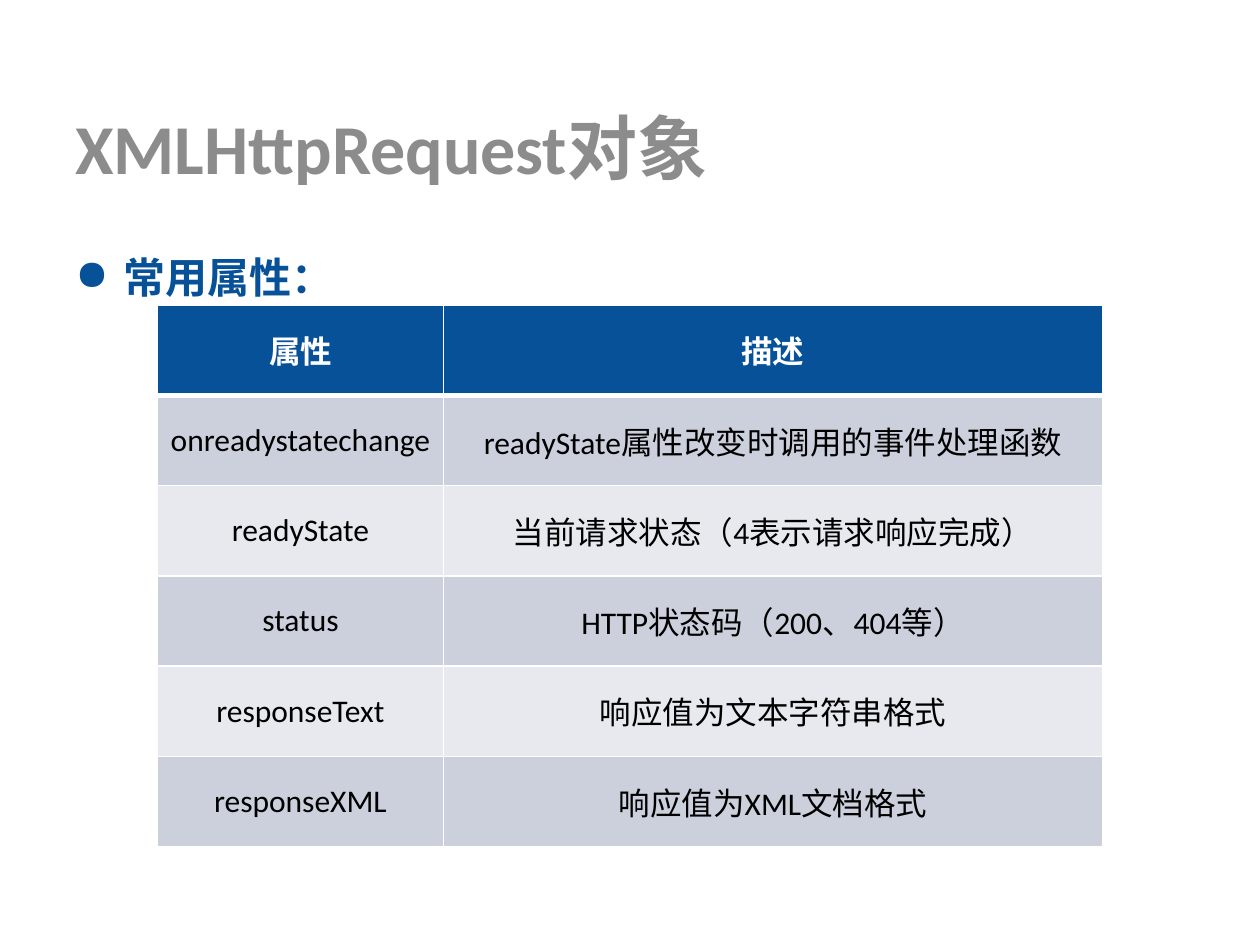
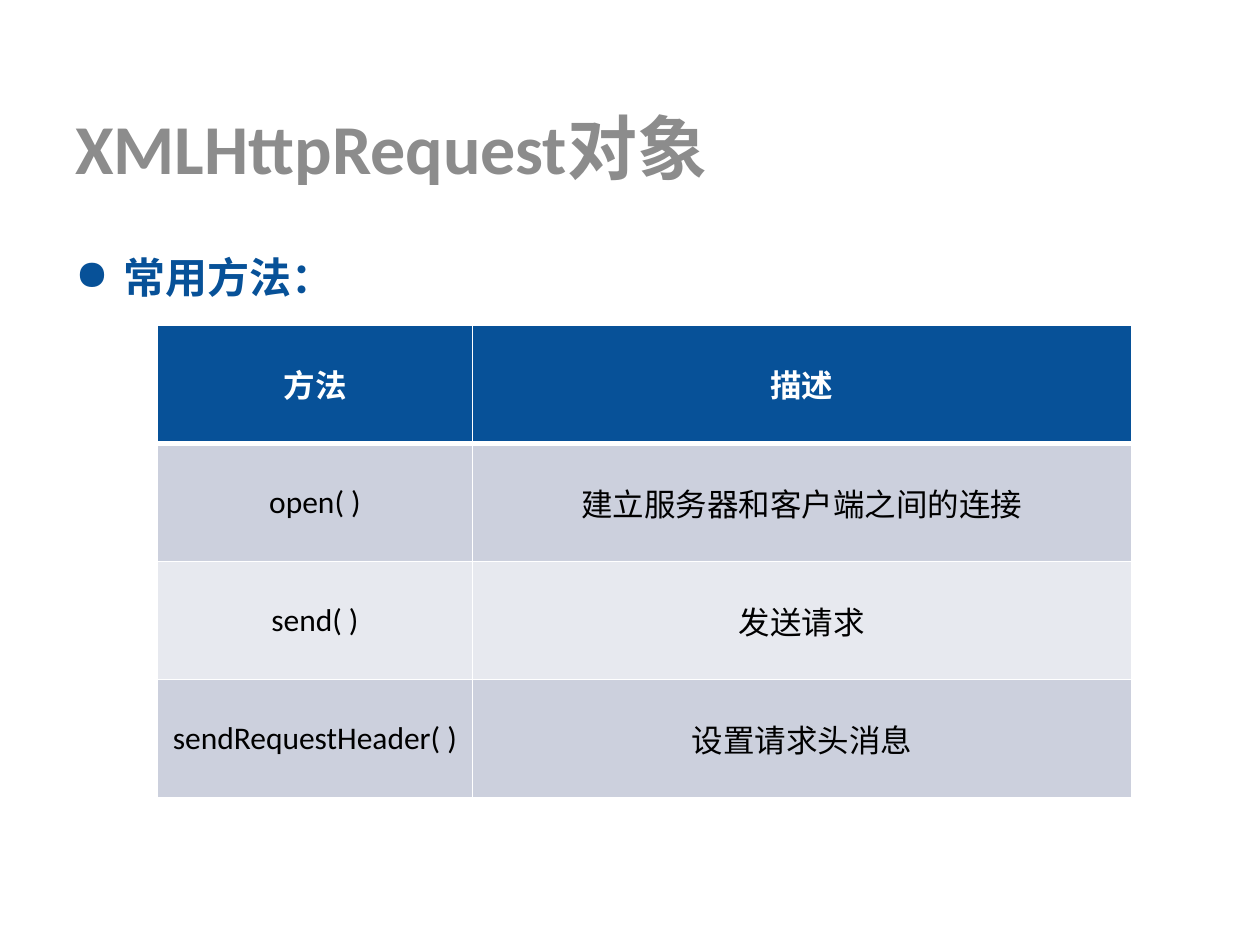
"""Build two slides that tabulate the XMLHttpRequest properties and methods."""
from lxml import etree
from pptx import Presentation, util as u
from pptx.dml.color import RGBColor
from pptx.enum import text as t
from pptx.oxml import ns

COLORS = {"title": "8C8C8C", "accent": "075198", "white": "FFFFFF",
          "black": "000000", "band_dark": "CCD0DD", "band_light": "E7E9EF"}
FONT = "Calibri"
WIDTH, HEIGHT = u.Inches(10), u.Inches(7.5)
TITLE = "XMLHttpRequest对象"
TITLE_AREA = (5, 10.4, 90, 10.27)
BODY_AREA = (5, 23.33, 90, 69.33)
TABLE_LEFT, DESCRIPTION_WIDTH = 12.5, 52.3
PROPERTIES = [
    ("属性", "描述"),
    ("onreadystatechange", "readyState属性改变时调用的事件处理函数"),
    ("readyState", "当前请求状态（4表示请求响应完成）"),
    ("status", "HTTP状态码（200、404等）"),
    ("responseText", "响应值为文本字符串格式"),
    ("responseXML", "响应值为XML文档格式"),
]
METHODS = [
    ("方法", "描述"),
    ("open( )", "建立服务器和客户端之间的连接"),
    ("send( )", "发送请求"),
    ("sendRequestHeader( )", "设置请求头消息"),
]


def across(percent):
    """Return a percentage of the slide width."""
    return int(WIDTH * percent / 100)


def down(percent):
    """Return a percentage of the slide height."""
    return int(HEIGHT * percent / 100)


def color(name):
    """Return a palette colour."""
    return RGBColor.from_string(COLORS[name])


def add_element(parent, tag, **attributes):
    """Append a DrawingML element."""
    return etree.SubElement(parent, ns.qn(tag), attributes)


def write_text(frame, text, size=18, ink="black", bold=False,
               align=t.PP_ALIGN.LEFT):
    """Write one formatted paragraph and return it."""
    paragraph = frame.paragraphs[0]
    paragraph.alignment = align
    run = paragraph.add_run()
    run.text = text
    run.font.name, run.font.size, run.font.bold = FONT, u.Pt(size), bold
    run.font.color.rgb = color(ink)
    return paragraph


def add_text(slide, area, text, anchor, **style):
    """Add a wrapping text box and return its paragraph."""
    left, top, width, height = area
    shape = slide.shapes.add_textbox(across(left), down(top),
                                     across(width), down(height))
    shape.text_frame.word_wrap = True
    shape.text_frame.vertical_anchor = anchor
    return write_text(shape.text_frame, text, **style)


def add_bullet(paragraph):
    """Give a paragraph a hanging round bullet and loose spacing."""
    paragraph.line_spacing = 1.5
    paragraph.space_before = paragraph.space_after = u.Pt(12)
    properties = paragraph._p.get_or_add_pPr()
    indent = u.Inches(0.38)
    properties.set("marL", str(indent))
    properties.set("indent", str(-indent))
    bullet_color = add_element(properties, "a:buClr")
    add_element(bullet_color, "a:srgbClr", val=COLORS["accent"])
    add_element(properties, "a:buChar", char="●")


def set_borders(cell, top, bottom):
    """Draw white cell borders with the given top and bottom points."""
    properties = cell._tc.get_or_add_tcPr()
    for side, points in (("L", 1), ("R", 1), ("T", top), ("B", bottom)):
        line = add_element(properties, f"a:ln{side}", w=str(u.Pt(points)))
        fill = add_element(line, "a:solidFill")
        add_element(fill, "a:srgbClr", val=COLORS["white"])


def add_banded_table(slide, rows, top, name_width, height):
    """Add a two-column table with a header and alternating bands."""
    widths = (name_width, DESCRIPTION_WIDTH)
    table = slide.shapes.add_table(
        len(rows), len(widths), across(TABLE_LEFT), down(top),
        across(sum(widths)), down(height)).table
    for column, width in zip(table.columns, widths):
        column.width = across(width)
    for row_index, row in enumerate(rows):
        table.rows[row_index].height = down(height / len(rows))
        header = row_index == 0
        band = "band_dark" if row_index % 2 else "band_light"
        for column_index, text in enumerate(row):
            cell = table.cell(row_index, column_index)
            cell.vertical_anchor = t.MSO_ANCHOR.MIDDLE
            set_borders(cell, top=3 if row_index == 1 else 1,
                        bottom=3 if header else 1)
            cell.fill.solid()
            cell.fill.fore_color.rgb = color("accent" if header else band)
            write_text(cell.text_frame, text, bold=header,
                       ink="white" if header else "black",
                       align=t.PP_ALIGN.CENTER)


def add_topic_slide(presentation, heading, rows, **table_layout):
    """Add a slide with the shared title, a bullet heading and a table."""
    slide = presentation.slides.add_slide(presentation.slide_layouts[6])
    add_text(slide, TITLE_AREA, TITLE, t.MSO_ANCHOR.MIDDLE,
             size=40, ink="title", bold=True)
    add_bullet(add_text(slide, BODY_AREA, heading, t.MSO_ANCHOR.TOP,
                        size=24, ink="accent", bold=True))
    add_banded_table(slide, rows, **table_layout)


def main():
    """Build and save the presentation."""
    presentation = Presentation()
    presentation.slide_width, presentation.slide_height = WIDTH, HEIGHT
    add_topic_slide(presentation, "常用属性：", PROPERTIES,
                    top=32.27, name_width=22.7, height=57.33)
    add_topic_slide(presentation, "常用方法：", METHODS,
                    top=34.4, name_width=25, height=50)
    presentation.save("out.pptx")


if __name__ == "__main__":
    main()
